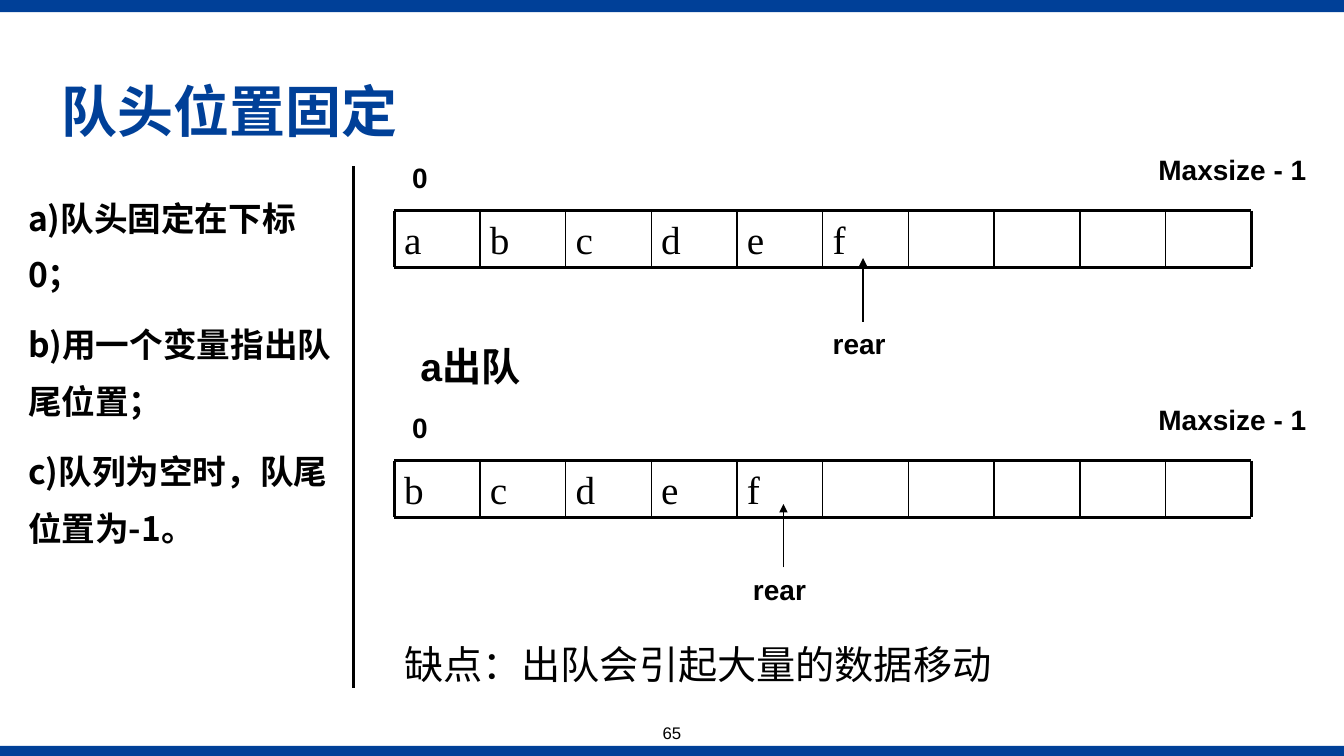
from pptx import Presentation
from pptx.dml.color import RGBColor as Rgb
from pptx.enum.shapes import MSO_CONNECTOR as Conn, MSO_SHAPE as Shape
from pptx.enum.text import MSO_ANCHOR as Anchor, PP_ALIGN as Align
from pptx.oxml.ns import qn
from pptx.util import Pt
from lxml.etree import SubElement as Sub

PX = 9144  # 100 px to the inch
HEX = {"blue": "004098", "black": "000000"}
SANS, ARIAL, SERIF = "Noto Sans CJK SC", "Arial", "Times New Roman"

deck = Presentation()
deck.slide_width, deck.slide_height = 1333 * PX, 750 * PX
slide = deck.slides.add_slide(deck.slide_layouts[6])
shapes = slide.shapes


def text(box, lines, size, face, bold=False, color="black", **form):
    """Add a text box; form holds paragraph format values."""
    item = shapes.add_textbox(*(n * PX for n in box))
    frame = item.text_frame
    frame.word_wrap = True
    frame.text = "\n".join(lines)
    for para in frame.paragraphs:
        for key, value in form.items():
            setattr(para, key, value)
        run = para.runs[0]
        for key, value in {"size": Pt(size), "name": face, "bold": bold}.items():
            setattr(run.font, key, value)
        run.font.color.rgb = Rgb.from_string(HEX[color])
        Sub(run.font._element, qn("a:ea"), typeface=SANS)
    return item


def line(x1, y1, x2, y2, width):
    item = shapes.add_connector(Conn.STRAIGHT, *(n * PX for n in (x1, y1, x2, y2)))
    item.line.width = Pt(width)
    item.line.color.rgb = Rgb.from_string(HEX["black"])
    Sub(item._element.spPr, qn("a:effectLst"))
    return item


# Bars, title, rules of the queue
for top, high in ((740, 10), (0, 12)):
    bar = shapes.add_shape(Shape.RECTANGLE, 0, top * PX, 1333 * PX, high * PX)
    bar.shadow.inherit = False
    bar.fill.solid()
    bar.fill.fore_color.rgb = Rgb.from_string(HEX["blue"])
    bar.line.fill.background()

title = text((51, 51, 850, 125), ["队头位置固定"], 40, SANS, True, "blue",
             line_spacing=0.9)
title.text_frame.vertical_anchor = Anchor.MIDDLE

rules = ["a)队头固定在下标0；", "b)用一个变量指出队尾位置；", "c)队列为空时，队尾位置为-1。"]
text((18, 175, 324, 520), rules, 24, SANS, True,
     line_spacing=1.4, space_before=Pt(10))
text((508, 712, 317, 50), ["65"], 12, ARIAL, alignment=Align.CENTER)
line(351, 165, 351, 683, 2.25)

# Queue before and after the head leaves
LEFT, CELL, HIGH, COUNT = 391, 85, 56, 10
RIGHT = LEFT + COUNT * CELL
queues = [("abcdef", 209, 816, 319), ("bcdef", 457, 737, 563)]
for items, top, rear, low in queues:
    for i, name in enumerate(items):
        text((LEFT + i * CELL, top, CELL, 57), [name], 28, SERIF)
    for y in (top, top + HIGH):
        line(LEFT, y, RIGHT, y, 2.25)
    for i in range(COUNT + 1):
        x = LEFT + i * CELL
        line(x, top, x, top + HIGH, 2.25 if i in (0, COUNT) else 1)

    text((399, top - 55, 55, 43), ["0"], 20, ARIAL, True)
    text((1139, top - 63, 177, 43), ["Maxsize - 1"], 20, ARIAL, True)
    label = text((rear, low, 80, 43), ["rear"], 20, ARIAL, True)
    arrow = line(rear + 40, low, rear + 40, low - 63, 1)
    arrow.begin_connect(label, 0)
    Sub(arrow.line._get_or_add_ln(), qn("a:tailEnd"), type="triangle")

text((407, 335, 386, 57), ["a出队"], 28, ARIAL, True)
text((391, 630, 802, 57), ["缺点：出队会引起大量的数据移动"], 28, ARIAL)

deck.save("out.pptx")
